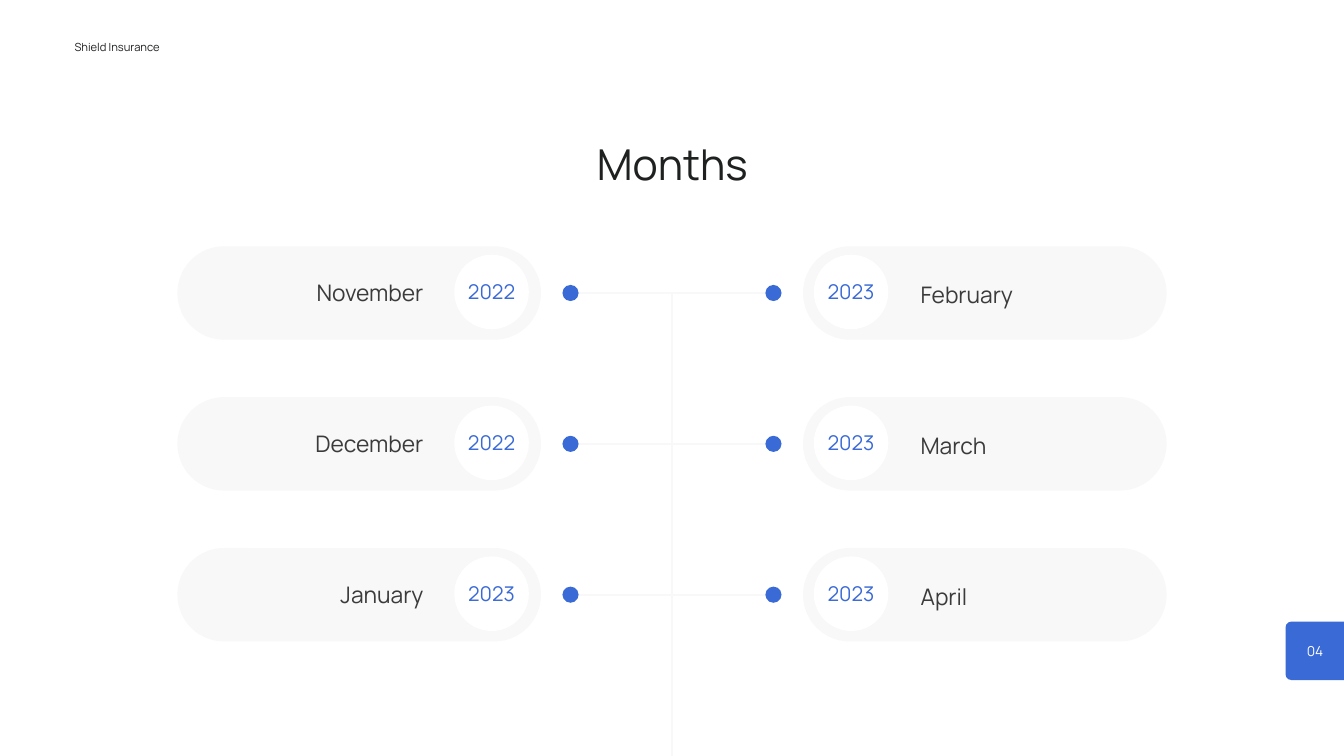
from dataclasses import dataclass

from lxml import etree
from pptx import Presentation
from pptx.dml.color import RGBColor
from pptx.enum.shapes import MSO_CONNECTOR, MSO_SHAPE as Preset
from pptx.enum.text import PP_ALIGN as Align
from pptx.oxml.ns import qn
from pptx.slide import Slide
from pptx.util import Inches, Pt

COLORS = {
    "accent": "3A6AD6",
    "panel": "F8F8F8",
    "white": "FFFFFF",
    "heading": "1F2020",
    "month": "3B3B3B",
}
FONT = "Manrope"
FIRST_ROW_Y = 4.36
ROW_STEP = 2.245
PILL_WIDTH, PILL_HEIGHT = 5.41, 1.39
BADGE_SIZE = 1.11
DOT_SIZE = 0.24
AXIS_X = 10


@dataclass(frozen=True)
class TextStyle:
    size: float
    leading: float
    color: str
    align: Align = Align.LEFT


@dataclass(frozen=True)
class Column:
    pill_left: float
    badge_left: float
    month_left: float
    month_offset: float
    month_align: Align
    dot_x: float
    entries: tuple[tuple[str, str], ...]


COLUMNS = (
    Column(2.64, 6.76, 2.53, -0.28, Align.RIGHT, 8.49,
           (("November", "2022"), ("December", "2022"), ("January", "2023"))),
    Column(11.95, 12.11, 13.7, -0.25, Align.LEFT, 11.51,
           (("February", "2023"), ("March", "2023"), ("April", "2023"))),
)
YEAR_STYLE = TextStyle(21.8, 30.6, "accent", Align.CENTER)


def row_y(row: int) -> float:
    return FIRST_ROW_Y + row * ROW_STEP


def add_filled(slide: Slide, preset: Preset, left: float, top: float,
               width: float, height: float, color: str, rounding: float | None = None) -> None:
    shape = slide.shapes.add_shape(
        preset, Inches(left), Inches(top), Inches(width), Inches(height))
    shape.shadow.inherit = False
    shape.fill.solid()
    shape.fill.fore_color.rgb = RGBColor.from_string(COLORS[color])
    shape.line.fill.background()
    if rounding is not None:
        shape.adjustments[0] = rounding


def add_label(slide: Slide, text: str, left: float, top: float,
              width: float, height: float, style: TextStyle) -> None:
    box = slide.shapes.add_textbox(
        Inches(left), Inches(top), Inches(width), Inches(height))
    frame = box.text_frame
    frame.word_wrap = True
    frame.margin_left = frame.margin_right = frame.margin_top = frame.margin_bottom = 0
    paragraph = frame.paragraphs[0]
    paragraph.alignment = style.align
    paragraph.line_spacing = Pt(style.leading)
    run = paragraph.add_run()
    run.text = text
    run.font.name = FONT
    run.font.size = Pt(style.size)
    run.font.color.rgb = RGBColor.from_string(COLORS[style.color])


def add_rule(slide: Slide, x1: float, y1: float, x2: float, y2: float) -> None:
    rule = slide.shapes.add_connector(
        MSO_CONNECTOR.STRAIGHT, Inches(x1), Inches(y1), Inches(x2), Inches(y2))
    rule.line.color.rgb = RGBColor.from_string(COLORS["panel"])
    rule.line.width = Pt(2.25)
    etree.SubElement(rule._element.spPr, qn("a:effectLst"))


def add_month(slide: Slide, column: Column, row: int) -> None:
    month, year = column.entries[row]
    y = row_y(row)
    add_filled(slide, Preset.ROUNDED_RECTANGLE, column.pill_left, y - PILL_HEIGHT / 2,
               PILL_WIDTH, PILL_HEIGHT, "panel", 0.5)
    add_filled(slide, Preset.OVAL, column.badge_left, y - 0.57,
               BADGE_SIZE, BADGE_SIZE, "white")
    add_label(slide, month, column.month_left, y + column.month_offset, 3.77, 0.48,
              TextStyle(24.4, 34.2, "month", column.month_align))
    add_label(slide, year, column.badge_left + 0.15, y - 0.27, 0.81, 0.44, YEAR_STYLE)


def add_dot(slide: Slide, x: float, y: float) -> None:
    add_filled(slide, Preset.OVAL, x - DOT_SIZE / 2, y - DOT_SIZE / 2,
               DOT_SIZE, DOT_SIZE, "accent")


def main() -> None:
    deck = Presentation()
    deck.slide_width, deck.slide_height = Inches(20), Inches(11.25)
    slide = deck.slides.add_slide(deck.slide_layouts[6])
    slide.background.fill.solid()
    slide.background.fill.fore_color.rgb = RGBColor.from_string(COLORS["white"])

    add_label(slide, "Shield Insurance", 1.11, 0.56, 1.79, 0.23,
              TextStyle(12, 16.8, "heading"))
    add_label(slide, "Months", 5.85, 1.92, 8.31, 0.89,
              TextStyle(45.6, 63.9, "heading", Align.CENTER))

    for column in COLUMNS:
        for row in range(len(column.entries)):
            add_month(slide, column, row)

    left, right = COLUMNS
    for row in range(len(left.entries)):
        add_rule(slide, left.dot_x, row_y(row), right.dot_x, row_y(row))
        for column in COLUMNS:
            add_dot(slide, column.dot_x, row_y(row))
    add_rule(slide, AXIS_X, 4.38, AXIS_X, 11.25)

    add_filled(slide, Preset.ROUNDED_RECTANGLE, 19.13, 9.25, 1.04, 0.87, "accent", 0.1)
    add_label(slide, "04", 19.33, 9.53, 0.48, 0.28,
              TextStyle(14.7, 20.6, "white", Align.CENTER))
    deck.save("out.pptx")


if __name__ == "__main__":
    main()
